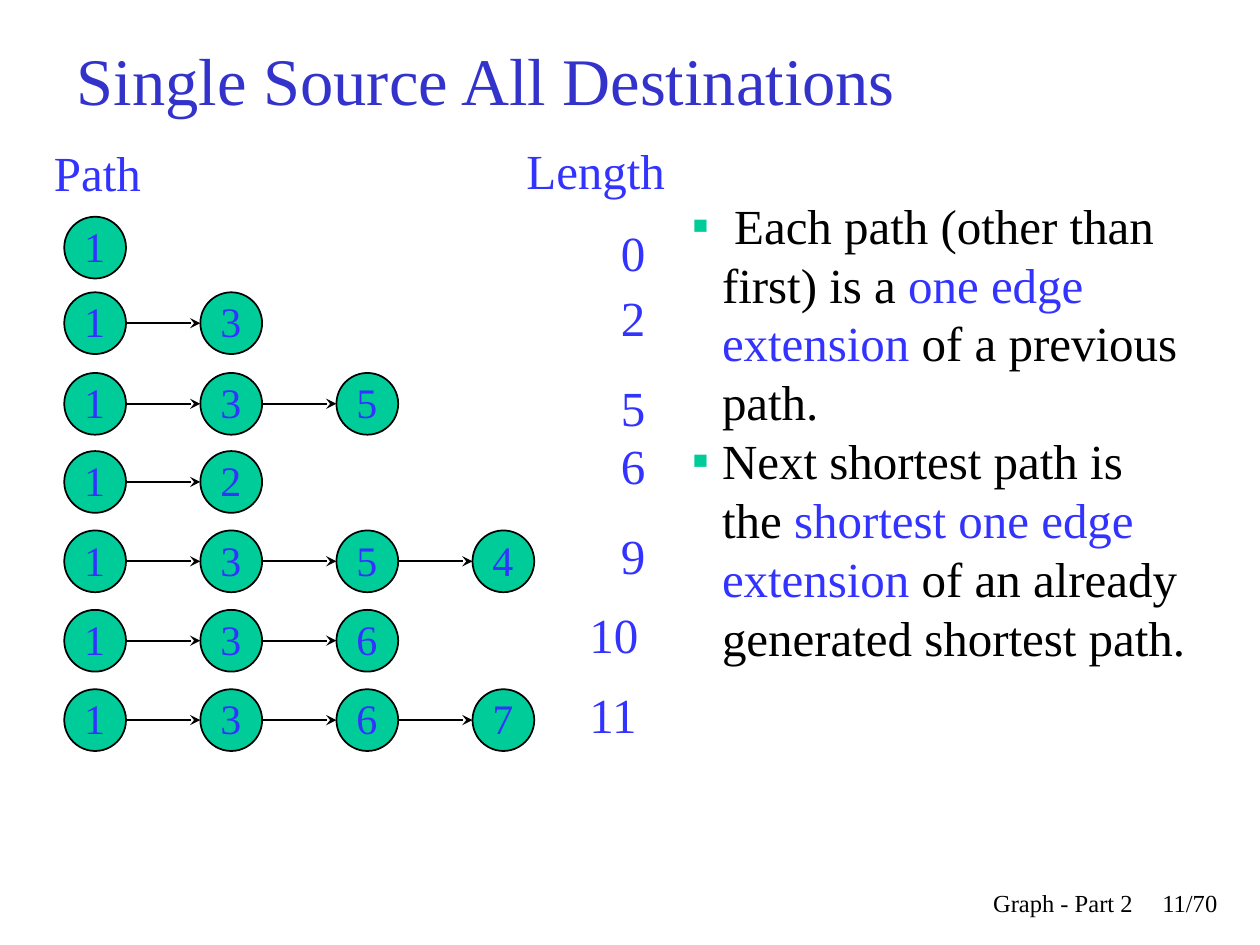
from lxml import etree
from pptx import Presentation
from pptx.dml.color import RGBColor
from pptx.enum import shapes, text
from pptx.oxml import ns
from pptx.util import Inches, Pt

FONT = "Times New Roman"
BLUE, BLACK, GREEN, TITLE_BLUE = "3333FF", "000000", "00CC99", "3333CC"
NODE, STEP = 0.49, 1.08
PATHS = [
    (0, "1", "0", 0),
    (0.6, "13", "2", -0.09),
    (1.24, "135", "5", -0.01),
    (1.86, "12", "6", -0.17),
    (2.49, "1354", "9", -0.09),
    (3.12, "136", "10", -0.09),
    (3.75, "1367", "11", -0.09),
]
POINTS = [
    [(" Each path (other than first) is a ", BLACK),
     ("one edge extension", BLUE),
     (" of a previous path.", BLACK)],
    [("Next shortest path is the ", BLACK),
     ("shortest one edge extension", BLUE),
     (" of an already generated shortest path.", BLACK)],
]


def colour(value):
    return RGBColor.from_string(value)


def style(run, size, value):
    run.font.name = FONT
    run.font.size = Pt(size)
    run.font.color.rgb = colour(value)


def place(part, left, top, width, height):
    part.left, part.top = Inches(left), Inches(top)
    part.width, part.height = Inches(width), Inches(height)


def add_label(slide, box, words, size, value=BLUE, align=text.PP_ALIGN.LEFT, wrap=True):
    label = slide.shapes.add_textbox(*map(Inches, box))
    frame = label.text_frame
    frame.word_wrap = wrap
    frame.text = words
    frame.paragraphs[0].alignment = align
    style(frame.paragraphs[0].runs[0], size, value)


def add_title(slide, box):
    title = slide.shapes.title
    place(title, *box)
    frame = title.text_frame
    frame.text = "Single Source All Destinations"
    frame.auto_size = text.MSO_AUTO_SIZE.NONE
    frame.vertical_anchor = text.MSO_ANCHOR.MIDDLE
    frame.paragraphs[0].alignment = text.PP_ALIGN.LEFT
    style(frame.paragraphs[0].runs[0], 38, TITLE_BLUE)


def add_node(slide, left, top, number):
    node = slide.shapes.add_shape(
        shapes.MSO_SHAPE.OVAL, *map(Inches, (left, top, NODE, NODE)))
    node.shadow.inherit = False
    node.fill.solid()
    node.fill.fore_color.rgb = colour(GREEN)
    node.line.color.rgb = colour(BLACK)
    node.line.width = Pt(1)
    add_label(slide, (left + 0.06, top - 0.02, 0.37, 0.5), number, 24, wrap=False)


def add_edge(slide, start, end, y):
    edge = slide.shapes.add_connector(
        shapes.MSO_CONNECTOR.STRAIGHT, *map(Inches, (start, y, end, y)))
    edge.line.color.rgb = colour(BLACK)
    edge.line.width = Pt(1)
    etree.SubElement(edge.line._get_or_add_ln(), ns.qn("a:tailEnd"), type="stealth")
    etree.SubElement(edge._element.spPr, ns.qn("a:effectLst"))


def add_paths(slide, left, top):
    add_label(slide, (left - 0.18, top - 0.64, 0.92, 0.57), "Path", 28)
    add_label(slide, (left + 3.57, top - 0.65, 1.5, 0.57), "Length", 28)
    right = left + 4.74
    for offset, nodes, length, shift in PATHS:
        y = top + offset
        for column, number in enumerate(nodes):
            x = left + column * STEP
            add_node(slide, x, y, number)
            if column:
                add_edge(slide, x - STEP + NODE, x, y + NODE / 2)
        width = 0.42 if len(length) == 1 else 0.67
        add_label(slide, (right - width, y + shift, width, 0.57), length, 28)


def add_bullet(paragraph):
    properties = paragraph._p.get_or_add_pPr()
    indent = Inches(0.24)
    properties.set("marL", str(indent))
    properties.set("indent", str(-indent))
    bullet_colour = etree.SubElement(properties, ns.qn("a:buClr"))
    etree.SubElement(bullet_colour, ns.qn("a:srgbClr"), val=GREEN)
    etree.SubElement(properties, ns.qn("a:buChar"), char="▪")


def add_points(slide, box):
    points = slide.placeholders[1]
    place(points, *box)
    frame = points.text_frame
    frame.auto_size = text.MSO_AUTO_SIZE.NONE
    frame.vertical_anchor = text.MSO_ANCHOR.TOP
    for index, pieces in enumerate(POINTS):
        paragraph = frame.add_paragraph() if index else frame.paragraphs[0]
        paragraph.space_before = Pt(0)
        add_bullet(paragraph)
        for words, value in pieces:
            run = paragraph.add_run()
            run.text = words
            style(run, 28, value)


def add_footer(slide, left, top):
    right = text.PP_ALIGN.RIGHT
    add_label(slide, (left, top, 3.17, 0.5), "Graph - Part 2", 14, BLACK, right)
    add_label(slide, (left + 3.16, top, 0.68, 0.5), "11/70", 14, BLACK, right)


def main():
    deck = Presentation()
    deck.slide_width, deck.slide_height = Inches(10), Inches(7.5)
    slide = deck.slides.add_slide(deck.slide_layouts[1])
    add_title(slide, (0.51, 0, 9.15, 1.25))
    add_paths(slide, 0.51, 1.72)
    add_points(slide, (5.39, 1.5, 4.17, 4.03))
    add_footer(slide, 5.92, 7)
    deck.save("out.pptx")


if __name__ == "__main__":
    main()
